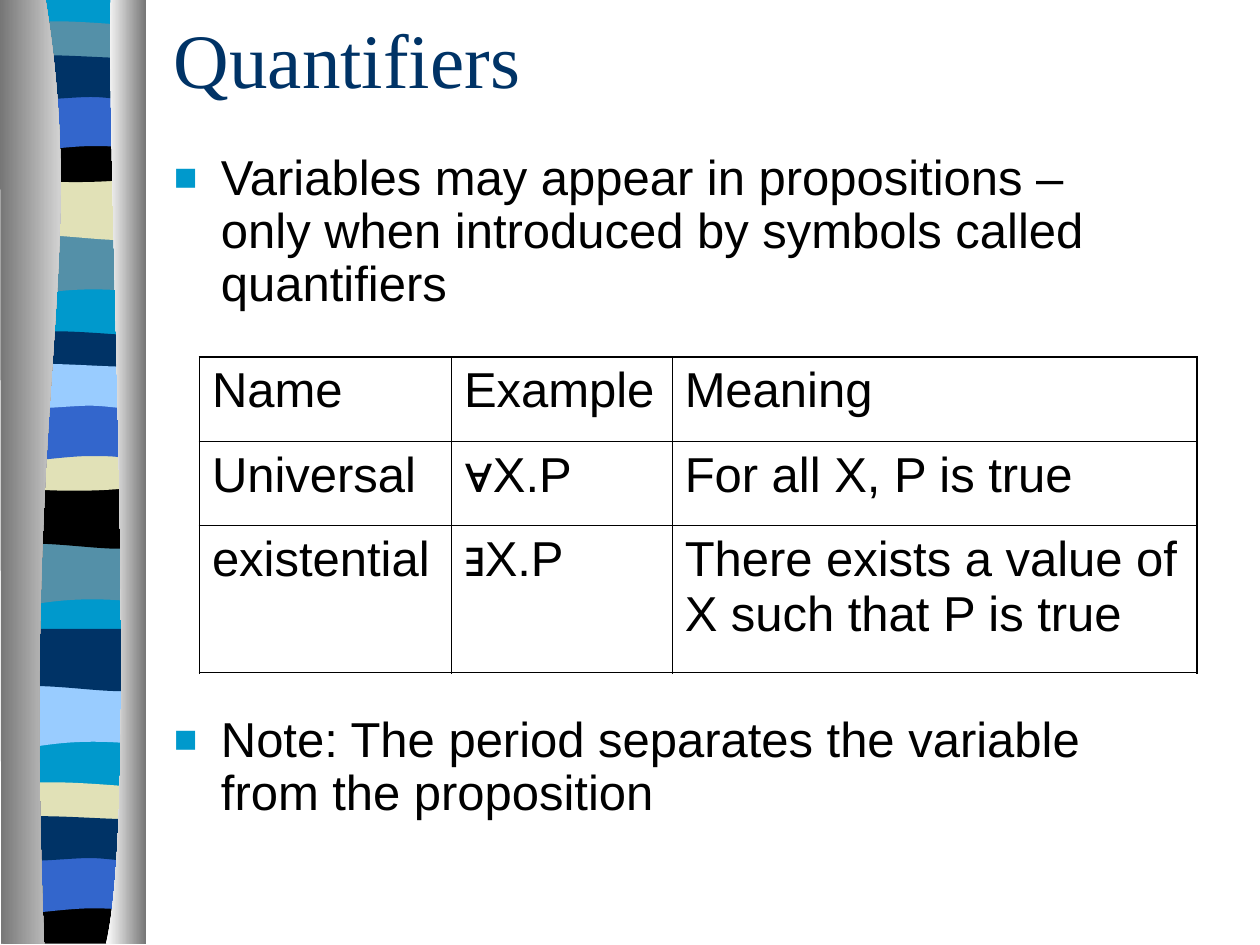
from lxml.etree import SubElement
from pptx import Presentation
from pptx.dml.color import RGBColor
from pptx.enum.text import MSO_ANCHOR as Anchor, MSO_AUTO_SIZE as AutoSize, PP_ALIGN as Align
from pptx.oxml import parse_xml
from pptx.oxml.ns import nsdecls, qn
from pptx.util import Cm, Pt

BLACK = RGBColor(0x00, 0x00, 0x00)
WHITE = RGBColor(0xFF, 0xFF, 0xFF)
GREY = RGBColor(0x76, 0x76, 0x76)
NAVY = RGBColor(0x00, 0x33, 0x66)
BLUE = RGBColor(0x33, 0x66, 0xCC)
CYAN = RGBColor(0x00, 0x99, 0xCC)
TEAL = RGBColor(0x54, 0x90, 0xA8)
SAND = RGBColor(0xE1, 0xE1, 0xB7)
SKY = RGBColor(0x99, 0xCC, 0xFF)

# Outlines in inches: a pair is a corner, six numbers are a Bezier curve
OUTLINES = {
    "panel": [(1.08, 0), (1.08, 7.48), (0, 7.48), (0, 0)],
    "slope": [(1.08, 0), (1.08, 0.47), (0.33, 0.39, 0.18, 0.55, 0, 0.47), (0, 0)],
    "wave": [(1.08, 0), (1.08, 0.47), (0.9, 0.55, 0.33, 0.41, 0, 0.47), (0, 0)],
    "thin": [(1.08, 0.05), (1.08, 0.29), (0.9, 0.33, 0.18, 0.33, 0, 0.29), (0, 0.05),
             (0.06, 0, 0.23, 0.01, 0.41, 0.01), (0.59, 0.01, 0.94, 0.04, 1.08, 0.05)],
    "bowl": [(1.08, 0), (1.08, 0.32), (0.9, 0.38, 0.18, 0.38, 0, 0.32), (0, 0),
             (0.66, 0.05, 0.85, 0, 1.08, 0)],
    "arch": [(1.08, 0), (1.08, 0.47), (0.91, 0.42, 0.84, 0.42, 0.66, 0.42),
             (0.48, 0.42, 0.16, 0.47, 0, 0.47), (0, 0)],
    "ribbon": [(1.08, 0.05), (1.08, 0.36), (1.01, 0.41, 0.84, 0.36, 0.66, 0.36),
               (0.48, 0.36, 0.11, 0.41, 0, 0.36), (0, 0.05),
               (0.15, 0, 0.73, 0.05, 0.91, 0.05)],
    "foot": [(1.08, 0), (1.08, 0.37), (0, 0.37), (0, 0), (0.66, 0.05, 0.85, 0, 1.08, 0)],
}

# Stripes from back to front: outline, left, top, colour
STRIPES = [
    ("panel", 0.06, -0.01, CYAN),
    ("slope", 0.06, 1.85, TEAL), ("wave", 0.06, 1.41, SAND), ("thin", 0.06, 0.16, TEAL),
    ("bowl", 0.06, 1.08, BLACK), ("arch", 0.06, 0.74, BLUE), ("ribbon", 0.06, 0.41, NAVY),
    ("slope", 0.05, 4.31, TEAL), ("wave", 0.05, 3.86, BLACK), ("thin", 0.05, 2.62, NAVY),
    ("bowl", 0.05, 3.53, SAND), ("arch", 0.05, 3.2, BLUE), ("ribbon", 0.05, 2.86, SKY),
    ("slope", 0.06, 5.44, SKY), ("wave", 0.06, 4.99, NAVY), ("thin", 0.05, 6.2, SAND),
    ("foot", 0.05, 7.12, BLACK), ("arch", 0.05, 6.79, BLUE), ("ribbon", 0.05, 6.45, NAVY),
]
LEFT_PIPE = [(0.36, -0.01), (0.71, 2.16, 0.17, 2.96, 0.35, 7.49), (0.01, 7.49), (0, -0.01)]
RIGHT_PIPE = [(0.88, -0.01), (0.84, 1.25, 1.11, 6.46, 0.84, 7.49), (1.16, 7.49), (1.16, 0)]

ROWS = [
    ("Name", "Example", "Meaning"),
    ("Universal", "∀X.P", "For all X, P is true"),
    ("existential", "∃X.P", "There exists a value of X such that P is true"),
]
COLUMN_WIDTHS = (5.08, 4.45, 10.58)
ROW_HEIGHTS = (1.7, 1.7, 2.96)
THICK, THIN = Pt(1.08), Pt(0.45)


def bend(shape, outline):
    """Join the three line segments of each curve into one Bezier segment."""
    lines = iter(list(shape._element.iter(qn("a:lnTo"))))
    for part in outline[1:]:
        first = next(lines)
        if len(part) == 6:
            first.tag_name = None
            curve = parse_xml(f'<a:cubicBezTo {nsdecls("a")}/>')
            first.addprevious(curve)
            for line in (first, next(lines), next(lines)):
                curve.append(line[0])
                line.getparent().remove(line)


def add_outline(slide, outline, colors, left=0, top=0):
    """Draw a closed outline with one colour, or two as a sideways gradient."""
    points = [(Cm(2.54 * (left + part[i])), Cm(2.54 * (top + part[i + 1])))
              for part in outline for i in range(0, len(part), 2)]
    builder = slide.shapes.build_freeform(*points[0])
    builder.add_line_segments(points[1:], close=True)
    shape = builder.convert_to_shape()
    bend(shape, outline)
    shape.shadow.inherit = False
    shape.line.fill.background()
    if len(colors) == 1:
        shape.fill.solid()
        shape.fill.fore_color.rgb = colors[0]
    else:
        shape.fill.gradient()
        shape.fill.gradient_angle = 0
        for stop, color in zip(shape.fill.gradient_stops, colors):
            stop.color.rgb = color


def add_bullet(para):
    props = para._p.get_or_add_pPr()
    props.set("marL", str(Cm(0.95)))
    props.set("indent", str(-Cm(0.95)))
    SubElement(SubElement(props, qn("a:buClr")), qn("a:srgbClr")).set("val", str(CYAN))
    SubElement(props, qn("a:buSzPct")).set("val", "80000")
    SubElement(props, qn("a:buFont")).set("typeface", "Arial")
    SubElement(props, qn("a:buChar")).set("char", "■")


def write(para, text, size=28, font="Arial", color=BLACK, bullet=False, spacing=1.0, before=0):
    if bullet:
        add_bullet(para)
    para.alignment = Align.LEFT
    para.line_spacing = spacing
    para.space_before = Pt(before)
    span = para.add_run()
    span.text = text
    span.font.size = Pt(size)
    span.font.name = font
    span.font.color.rgb = color


def place(holder, left, top, width, height, anchor):
    holder.left, holder.top, holder.width, holder.height = map(Cm, (left, top, width, height))
    frame = holder.text_frame
    frame.word_wrap = True
    frame.auto_size = AutoSize.NONE
    frame.vertical_anchor = anchor
    return frame


def set_borders(cell, **widths):
    props = cell._tc.get_or_add_tcPr()
    for index, side in enumerate("LRTB"):
        props.insert(index, parse_xml(
            f'<a:ln{side} {nsdecls("a")} w="{widths[side]}"><a:solidFill>'
            f'<a:srgbClr val="{BLACK}"/></a:solidFill></a:ln{side}>'))


def add_quantifier_table(slide):
    frame = slide.shapes.add_table(3, 3, Cm(4.02), Cm(7.2),
                                   Cm(sum(COLUMN_WIDTHS)), Cm(sum(ROW_HEIGHTS)))
    table = frame.table
    table.first_row = table.horz_banding = False
    for column, width in zip(table.columns, COLUMN_WIDTHS):
        column.width = Cm(width)
    for row, height in zip(table.rows, ROW_HEIGHTS):
        row.height = Cm(height)
    for r, texts in enumerate(ROWS):
        for c, text in enumerate(texts):
            cell = table.cell(r, c)
            cell.fill.background()
            write(cell.text_frame.paragraphs[0], text)
            set_borders(cell, L=THICK if c == 0 else THIN, R=THICK if c == 2 else THIN,
                        T=THICK if r == 0 else THIN, B=THICK if r == 2 else THIN)


def main():
    deck = Presentation()
    deck.slide_width, deck.slide_height = Cm(25.4), Cm(19.05)
    slide = deck.slides.add_slide(deck.slide_layouts[1])

    # Decorative band on the left
    for name, left, top, color in STRIPES:
        add_outline(slide, OUTLINES[name], [color], left, top)
    add_outline(slide, LEFT_PIPE, [GREY, WHITE])
    add_outline(slide, RIGHT_PIPE, [WHITE, GREY])

    # Title
    title = place(slide.shapes.title, 3.25, -0.43, 21.59, 3.18, Anchor.MIDDLE)
    write(title.paragraphs[0], "Quantifiers", size=44, font="Times New Roman", color=NAVY)

    # Bullets above and below the table
    body = place(slide.placeholders[1], 3.25, 2.97, 19.81, 14.6, Anchor.TOP)
    write(body.paragraphs[0], "Variables may appear in propositions – only when introduced "
          "by symbols called quantifiers", bullet=True, spacing=0.9)
    write(body.add_paragraph(), "Note: The period separates the variable from the proposition",
          bullet=True, spacing=0.9, before=230)

    add_quantifier_table(slide)
    deck.save("out.pptx")


if __name__ == "__main__":
    main()
